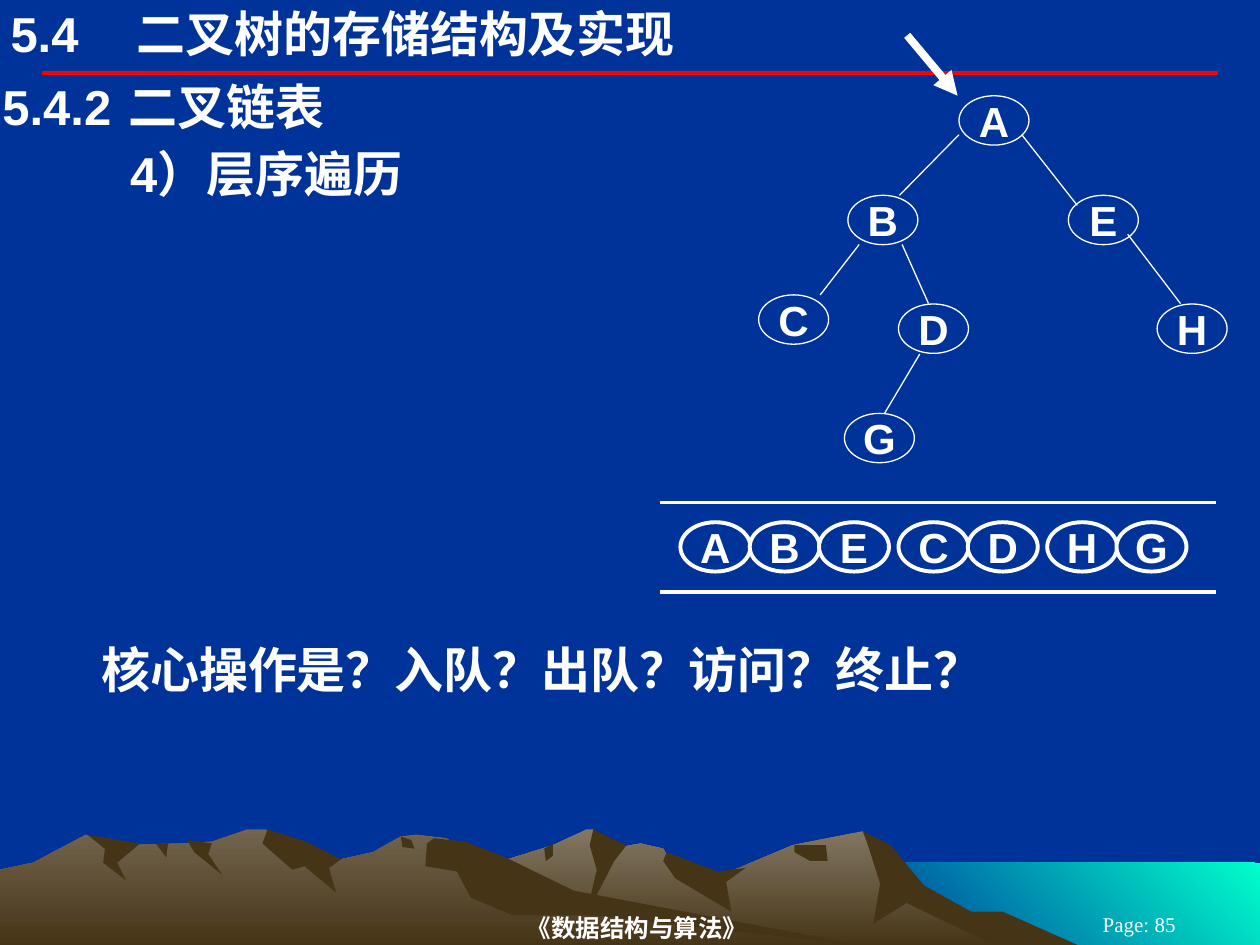
import dataclasses
import lxml.etree
import pptx
import pptx.dml.color
import pptx.enum.shapes
import pptx.enum.text
import pptx.oxml.ns
import pptx.util

Pt = pptx.util.Pt
qn = pptx.oxml.ns.qn


@dataclasses.dataclass(frozen=True)
class Theme:
    background: str = "003399"
    ink: str = "FFFFFF"
    rule: str = "FF0000"
    sea: str = "00FFCC"
    rock: str = "463416"
    near_rock: str = "72644E"
    far_rock: str = "837763"
    heading_size: int = 28
    node_size: int = 24
    footer_size: int = 14
    page_size: int = 12
    font: str = "Arial"
    footer_font: str = "Times New Roman"


theme = Theme()
rgb = pptx.dml.color.RGBColor.from_string
LEFT, CENTER = pptx.enum.text.PP_ALIGN.LEFT, pptx.enum.text.PP_ALIGN.CENTER
TOP, MIDDLE = pptx.enum.text.MSO_ANCHOR.TOP, pptx.enum.text.MSO_ANCHOR.MIDDLE


def write(shape, text, size, font=theme.font, bold=True, align=LEFT, anchor=TOP,
          margin=1.4, wrap=True, indent=0, tab=None):
    frame = shape.text_frame
    frame.text = text
    frame.word_wrap = wrap
    frame.auto_size = pptx.enum.text.MSO_AUTO_SIZE.NONE
    frame.vertical_anchor = anchor
    frame.margin_left = frame.margin_right = Pt(margin)
    frame.margin_top = frame.margin_bottom = Pt(margin / 2)
    paragraph = frame.paragraphs[0]
    paragraph.alignment = align
    paragraph.space_before = Pt(0)
    properties = paragraph._p.get_or_add_pPr()
    properties.set("marL", str(Pt(indent)))
    properties.set("indent", "0")
    lxml.etree.SubElement(properties, qn("a:buNone"))
    if tab:
        tabs = lxml.etree.SubElement(properties, qn("a:tabLst"))
        lxml.etree.SubElement(tabs, qn("a:tab"), pos=str(Pt(tab)), algn="l")
    for run in paragraph.runs:
        run.font.name = font
        run.font.size = Pt(size)
        run.font.bold = bold
        run.font.color.rgb = rgb(theme.ink)


def connect(shapes, x1, y1, x2, y2, color, width):
    connector = shapes.add_connector(
        pptx.enum.shapes.MSO_CONNECTOR.STRAIGHT, Pt(x1), Pt(y1), Pt(x2), Pt(y2))
    connector.line.color.rgb = rgb(color)
    connector.line.width = Pt(width)
    lxml.etree.SubElement(connector._element.spPr, qn("a:effectLst"))
    return connector


presentation = pptx.Presentation()
presentation.slide_width, presentation.slide_height = Pt(720), Pt(540)
slide = presentation.slides.add_slide(presentation.slide_layouts[1])
slide.background.fill.solid()
slide.background.fill.fore_color.rgb = rgb(theme.background)

sea = (theme.sea, theme.background)
far_range = (theme.far_rock, theme.rock)
near_range = (theme.near_rock, theme.rock)
shade = (theme.rock, theme.rock)
terrain = [
    (sea, [(720, 541), (492, 541), (492, 493), (720, 493)]),
    (far_range, [(591, 541), (520, 503), (493, 475), (453, 483), (408, 502), (386, 497),
                 (379, 485), (366, 482), (350, 485), (339, 474), (335, 474), (316, 483),
                 (284, 493), (235, 510), (186, 541)]),
    (shade, [(493, 475), (496, 483), (503, 505), (499, 528), (518, 516), (570, 541),
             (618, 541), (573, 521), (555, 521), (528, 506), (509, 483)]),
    (shade, [(339, 474), (337, 483), (341, 497), (335, 523), (351, 492), (358, 483)]),
    (shade, [(381, 487), (379, 492), (386, 502), (418, 521), (415, 504), (426, 496),
             (410, 498)]),
    (shade, [(454, 483), (454, 487), (463, 492), (473, 492), (472, 483)]),
    (shade, [(311, 485), (316, 482), (316, 489), (312, 492)]),
    (near_range, [(497, 541), (311, 513), (255, 479), (238, 477), (229, 478), (213, 487),
                  (195, 491), (170, 490), (152, 474), (141, 474), (121, 481), (103, 482),
                  (68, 483), (49, 477), (19, 493), (0, 497), (0, 541)]),
    (shade, [(153, 474), (150, 482), (167, 497), (174, 495), (192, 510), (188, 496),
             (195, 491), (175, 481)]),
    (shade, [(266, 481), (248, 479), (244, 482), (243, 495), (261, 498), (269, 513),
             (293, 523), (340, 523), (497, 541), (328, 509), (289, 490)]),
    (shade, [(229, 478), (235, 480), (237, 485), (230, 484)]),
    (shade, [(107, 480), (121, 482), (119, 488), (127, 500), (111, 487)]),
    (shade, [(89, 482), (96, 482), (95, 490)]),
    (shade, [(50, 477), (80, 482), (67, 493), (72, 503), (59, 493), (60, 485)]),
]
for colors, outline in terrain:
    builder = slide.shapes.build_freeform(*outline[0], scale=Pt(1))
    builder.add_line_segments(outline[1:], close=True)
    shape = builder.convert_to_shape()
    shape.shadow.inherit = False
    shape.line.fill.background()
    if colors is shade:
        shape.fill.solid()
        shape.fill.fore_color.rgb = rgb(theme.rock)
    else:
        shape.fill.gradient()
        shape.fill.gradient_angle = 225 if colors is sea else 270
        for stop, color in zip(shape.fill.gradient_stops, colors):
            stop.color.rgb = rgb(color)

connect(slide.shapes, 24, 41.8, 696, 41.8, theme.rule, 2.25)

title, section = slide.shapes.title, slide.placeholders[1]
topic, question, footer, page = [slide.shapes.add_textbox(0, 0, 0, 0) for _ in range(4)]
for shape, left, top, width, height in [
    (title, 6, 2.2, 468, 34),
    (section, 0, 43.2, 720, 35.3),
    (topic, 3, 81.4, 717, 35.3),
    (question, 0, 365, 717, 35.3),
    (footer, 146, 519.8, 436, 20.2),
    (page, 594, 522, 114, 12.2),
]:
    shape.left, shape.top, shape.width, shape.height = map(Pt, (left, top, width, height))
write(title, "5.4\t二叉树的存储结构及实现", theme.heading_size, margin=0, tab=61)
write(section, "5.4.2\t二叉链表", theme.heading_size, tab=92)
write(topic, "4）层序遍历", theme.heading_size, indent=70)
write(question, "核心操作是？入队？出队？访问？终止？", theme.heading_size, indent=56.5)
write(footer, "《数据结构与算法》", theme.footer_size, theme.footer_font,
      align=CENTER, anchor=MIDDLE)
write(page, "Page: 85", theme.page_size, theme.footer_font, bold=False,
      align=CENTER, anchor=MIDDLE, margin=7.2)

table_frame = slide.shapes.add_table(1, 1, Pt(377.3), Pt(287.3), Pt(317.5), Pt(51))
table = table_frame.table
table.first_row = table.horz_banding = False
queue_cell = table.cell(0, 0)
cell_properties = queue_cell._tc.get_or_add_tcPr()
for side in ("lnL", "lnR", "lnT", "lnB"):
    border = lxml.etree.SubElement(cell_properties, qn("a:" + side), w=str(Pt(2.21)))
    if side in ("lnT", "lnB"):
        border_fill = lxml.etree.SubElement(border, qn("a:solidFill"))
        lxml.etree.SubElement(border_fill, qn("a:srgbClr"), val=theme.ink)
    else:
        lxml.etree.SubElement(border, qn("a:noFill"))
queue_cell.fill.background()

tree = slide.shapes.add_group_shape().shapes
nodes = [(tree, letter, left, top, 0.75) for letter, left, top in [
    ("A", 548, 54.7), ("B", 484.5, 111.6), ("E", 610.5, 111.6), ("C", 433.5, 168.5),
    ("D", 513.4, 173.7), ("H", 661.2, 173.7), ("G", 482.5, 236.2)]]
queue_left, step, gap = 388.8, 39.6, 5.8
for batch in ("ABE", "CD", "HG"):
    for letter in batch:
        nodes.append((slide.shapes, letter, queue_left, 298.4, 2.25))
        queue_left += step
    queue_left += gap
for shapes, letter, left, top, line_width in nodes:
    node = shapes.add_shape(
        pptx.enum.shapes.MSO_SHAPE.OVAL, Pt(left), Pt(top), Pt(40), Pt(28.2))
    node.shadow.inherit = False
    if shapes is tree:
        node.fill.background()
    else:
        node.fill.solid()
        node.fill.fore_color.rgb = rgb(theme.background)
    node.line.color.rgb = rgb(theme.ink)
    node.line.width = Pt(line_width)
    write(node, letter, theme.node_size, align=CENTER, anchor=MIDDLE,
          margin=7.2, wrap=False)

for edge in [
    (491, 139.7, 468.7, 168.5), (548, 77, 514, 111.6), (525.6, 202.3, 505.5, 236.2),
    (644.4, 133.9, 674.6, 173.5), (583.9, 77, 615.6, 117.4), (515.5, 139.7, 530.6, 173.5),
]:
    connect(tree, *edge, theme.ink, 0.75)

root_arrow = connect(slide.shapes, 518.4, 20.2, 547.2, 54.7, theme.ink, 4.5)
lxml.etree.SubElement(root_arrow.line._get_or_add_ln(), qn("a:tailEnd"), type="triangle")

presentation.save("out.pptx")
